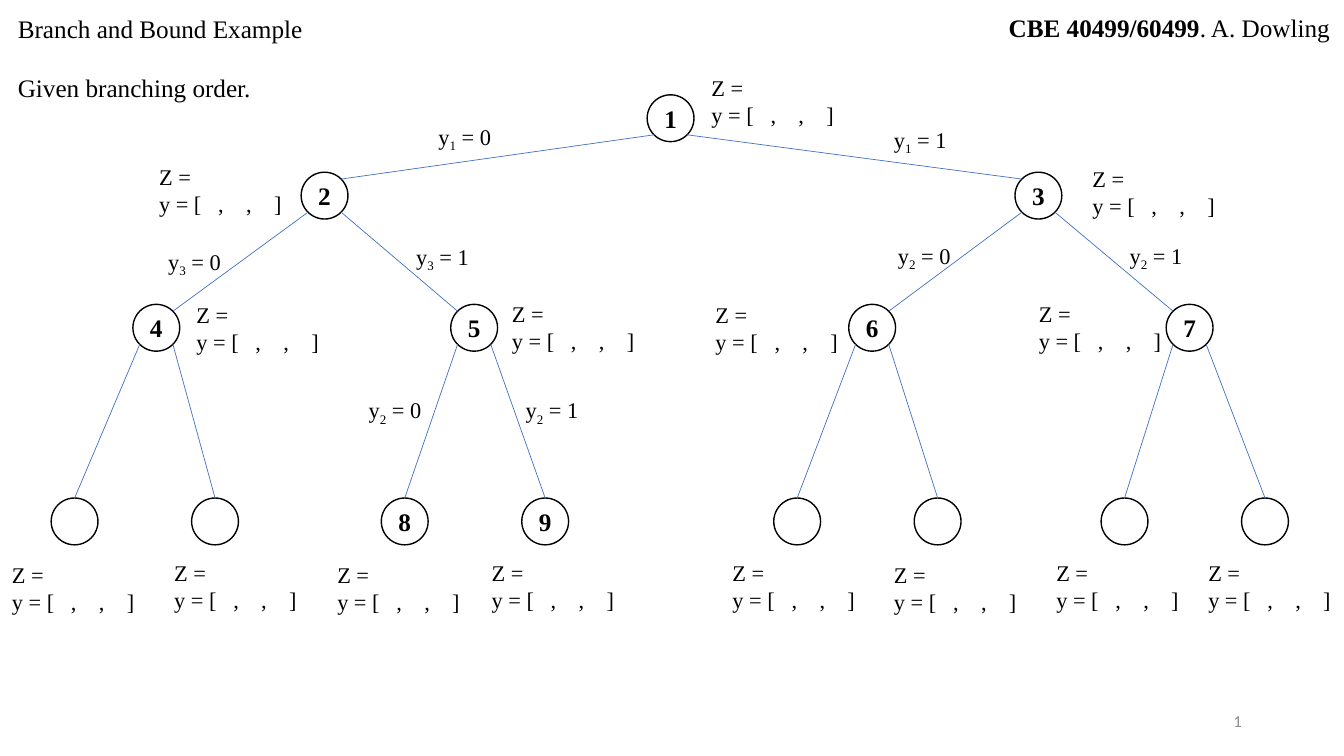
from dataclasses import dataclass

from lxml.etree import SubElement
from pptx import Presentation
from pptx.dml.color import RGBColor
from pptx.enum.shapes import MSO_CONNECTOR as Line, MSO_SHAPE as Shape
from pptx.enum.text import MSO_ANCHOR as Anchor, MSO_AUTO_SIZE as AutoSize, PP_ALIGN as Align
from pptx.oxml.ns import qn
from pptx.util import Cm, Pt


@dataclass(frozen=True)
class Theme:
    ink: RGBColor = RGBColor(0x00, 0x00, 0x00)
    paper: RGBColor = RGBColor(0xFF, 0xFF, 0xFF)
    branch: RGBColor = RGBColor(0x44, 0x72, 0xC4)
    muted: RGBColor = RGBColor(0x8C, 0x8C, 0x8C)
    serif: str = "Times New Roman"
    sans: str = "Calibri"
    heading: Pt = Pt(18)
    body: Pt = Pt(16)
    footer: Pt = Pt(12)


theme = Theme()
presentation = Presentation()
presentation.slide_width, presentation.slide_height = Cm(33.87), Cm(19.05)
slide = presentation.slides.add_slide(presentation.slide_layouts[6])


def write(paragraph, text, *, size=theme.body, font=theme.serif, color=theme.ink,
          bold=False, baseline=None):
    """Append a formatted run; baseline is in thousandths of a percent."""
    run = paragraph.add_run()
    run.text = text
    run.font.size, run.font.name, run.font.bold = size, font, bold
    run.font.color.rgb = color
    if baseline is not None:
        run.font._element.set("baseline", str(baseline))
    return run


def add_text_frame(left, top, width, height):
    frame = slide.shapes.add_textbox(Cm(left), Cm(top), Cm(width), Cm(height)).text_frame
    frame.word_wrap = True
    frame.auto_size = AutoSize.SHAPE_TO_FIT_TEXT
    return frame


# Tree nodes: key -> (centre x, centre y, number shown)
ROOT_Y, SECOND_Y, THIRD_Y, LEAF_Y = 2.98, 4.93, 8.26, 13.14
LEAF_GAP = 3.54
DIAMETER = 1.18
RADIUS = DIAMETER / 2
DIAGONAL = RADIUS / 2 ** 0.5

nodes = {
    "1": (16.9, ROOT_Y, "1"),
    "2": (8.18, SECOND_Y, "2"),
    "3": (26.17, SECOND_Y, "3"),
    "4": (3.94, THIRD_Y, "4"),
    "5": (11.95, THIRD_Y, "5"),
    "6": (21.98, THIRD_Y, "6"),
    "7": (29.98, THIRD_Y, "7"),
}
children = {"1": ("2", "3"), "2": ("4", "5"), "3": ("6", "7")}
leaf_pairs = [("4", 1.88, ("", "")), ("5", 10.2, ("8", "9")),
              ("6", 20.09, ("", "")), ("7", 28.34, ("", ""))]
for parent, first_x, numbers in leaf_pairs:
    children[parent] = (parent + "L", parent + "R")
    for i, number in enumerate(numbers):
        nodes[children[parent][i]] = (first_x + i * LEAF_GAP, LEAF_Y, number)

circles = {}
for key, (x, y, number) in nodes.items():
    circle = slide.shapes.add_shape(Shape.OVAL, Cm(x - RADIUS), Cm(y - RADIUS),
                                    Cm(DIAMETER), Cm(DIAMETER))
    circle.shadow.inherit = False
    circle.fill.solid()
    circle.fill.fore_color.rgb = theme.paper
    circle.line.color.rgb = theme.ink
    circle.line.width = Pt(1)
    if number:
        frame = circle.text_frame
        frame.margin_left = frame.margin_right = frame.margin_top = frame.margin_bottom = 0
        frame.vertical_anchor = Anchor.MIDDLE
        frame.paragraphs[0].alignment = Align.CENTER
        write(frame.paragraphs[0], number, size=theme.heading, bold=True)
    circles[key] = circle

# Branches leave a parent at its lower diagonals
for parent, pair in children.items():
    parent_x, parent_y, _ = nodes[parent]
    for side, child in zip((-1, 1), pair):
        child_x, child_y, _ = nodes[child]
        branch = slide.shapes.add_connector(
            Line.STRAIGHT,
            Cm(parent_x + side * DIAGONAL), Cm(parent_y + DIAGONAL),
            Cm(child_x - side * DIAGONAL), Cm(child_y - DIAGONAL))
        if child_y == LEAF_Y:
            branch.end_connect(circles[child], 0)
        branch.line.color.rgb = theme.branch
        branch.line.width = Pt(0.5)
        SubElement(branch._element.spPr, qn("a:effectLst"))

# Blanks for the bound and solution at each node
bound_places = [
    (17.68, 1.75), (3.76, 3.99), (27.28, 4.04),
    (4.7, 7.47), (12.65, 7.44), (17.78, 7.47), (25.93, 7.44),
    (0.05, 14.02), (4.14, 13.97), (8.25, 14.02), (12.14, 13.97),
    (18.21, 13.97), (22.28, 14.02), (26.37, 13.97), (30.2, 13.97),
]
for left, top in bound_places:
    bound = add_text_frame(left, top, 3.86, 1.62)
    write(bound.paragraphs[0], "Z =")
    write(bound.add_paragraph(), "y = [   ,    ,    ]")

# Branching decisions: left, top, variable index, value
decisions = [
    (10.8, 2.97, 1, 0), (22.28, 3.05, 1, 1),
    (3.99, 6.12, 3, 0), (10.24, 5.99, 3, 1),
    (22.38, 5.97, 2, 0), (28.22, 5.97, 2, 1),
    (9.04, 9.86, 2, 0), (13.0, 9.86, 2, 1),
]
for left, top, index, value in decisions:
    decision = add_text_frame(left, top, 2.72, 0.94).paragraphs[0]
    write(decision, "y")
    write(decision, str(index), baseline=-25000)
    write(decision, f" = {value}")

heading = add_text_frame(0.2, 0.2, 11.15, 2.57)
heading.paragraphs[0].space_after = Pt(21)
write(heading.paragraphs[0], "Branch and Bound Example", size=theme.heading)
write(heading.add_paragraph(), "Given branching order.", size=theme.heading)

course = add_text_frame(25.17, 0.18, 9.09, 1.02).paragraphs[0]
write(course, "CBE 40499/60499", size=theme.heading, bold=True)
write(course, ". A. Dowling", size=theme.heading)

footer = add_text_frame(23.93, 17.65, 7.62, 1.02)
footer.auto_size = AutoSize.NONE
footer.vertical_anchor = Anchor.MIDDLE
page = footer.paragraphs[0]
page.alignment = Align.RIGHT
page_run = write(page, "1", size=theme.footer, font=theme.sans, color=theme.muted)._r
page_field = SubElement(page._p, qn("a:fld"), type="slidenum",
                        id="{B6F15528-21DE-4FAA-801E-634DDDAF4B2B}")
page_field.extend(list(page_run))
page._p.remove(page_run)

presentation.save("out.pptx")
